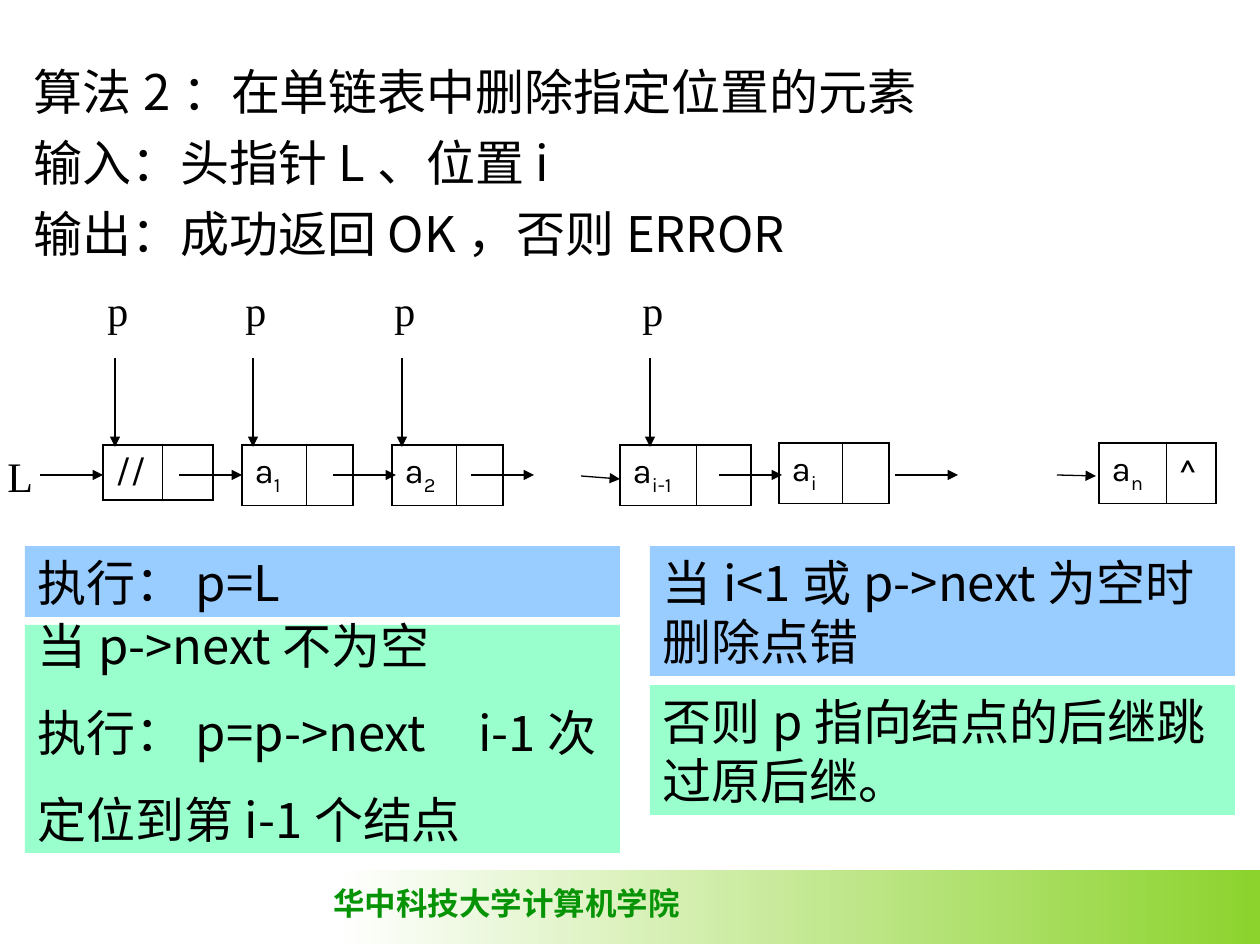
from dataclasses import dataclass
from typing import Optional

from lxml import etree
from pptx import Presentation
from pptx.dml.color import RGBColor
from pptx.enum.shapes import MSO_CONNECTOR, MSO_SHAPE
from pptx.enum.text import MSO_ANCHOR, PP_ALIGN
from pptx.oxml.ns import qn
from pptx.util import Pt

EMU_PER_PX = 914400 / 126
STRAIGHT = MSO_CONNECTOR.STRAIGHT
RECT = MSO_SHAPE.RECTANGLE
TOP = MSO_ANCHOR.TOP
LEFT = PP_ALIGN.LEFT
SANS, SERIF, KARLA = "Noto Sans CJK SC", "Times New Roman", "Karla"
BLUE, MINT = "99CCFF", "99FFCC"


@dataclass
class Node:
    x: int
    y: int
    data_w: int
    next_w: int
    h: int
    data: str
    sub: str = ""
    link: str = ""


@dataclass
class Panel:
    x: int
    y: int
    w: int
    h: int
    color: str
    lines: list[str]
    before: float = 0
    spacing: Optional[float] = None
    tab: int = 0


NODES = [
    Node(103, 445, 59, 51, 54, "//"),
    Node(242, 445, 64, 47, 60, "a", "1"),
    Node(392, 445, 64, 47, 60, "a", "2"),
    Node(620, 445, 76, 55, 60, "a", "i-1"),
    Node(779, 443, 63, 47, 60, "a", "i"),
    Node(1099, 443, 67, 50, 60, "a", "n", "^"),
]
LINK_Y, LINK_LEN = 475, 63
LINK_STARTS = [179, 333, 471, 719, 895, 40]
SLANTED_LINKS = [(581, 476, 620, 479), (1057, 475, 1096, 476)]
POINTER_XS = [115, 253, 402, 650]
PANELS = [
    Panel(25, 546, 595, 71, BLUE, ["执行：p=L"]),
    Panel(25, 625, 595, 228, MINT,
          ["当p->next不为空", "执行：p=p->next\ti-1次", "定位到第i-1个结点"], 26.2, 0.7, 422),
    Panel(650, 546, 585, 130, BLUE, ["当i<1或p->next为空时删除点错"]),
    Panel(650, 685, 585, 130, MINT, ["否则p指向结点的后继跳过原后继。"]),
]


def px(n: float) -> int:
    """Turn pixels into EMU."""
    return round(n * EMU_PER_PX)


def rgb(value: str) -> RGBColor:
    """Turn a hex string into a colour."""
    return RGBColor.from_string(value)


def write(tf, lines, *, size=28, font=SANS, color="000000", bold=False,
          before=0.0, spacing=None, sub="", hang=0, tab=0) -> None:
    """Fill a text frame with one paragraph per line."""
    for i, line in enumerate(lines):
        p = tf.paragraphs[0] if i == 0 else tf.add_paragraph()
        p.alignment = LEFT
        p.space_before = Pt(before if i else 0)
        p.line_spacing = spacing
        pPr = p._p.get_or_add_pPr()
        pPr.set("marL", str(px(hang)))
        pPr.set("indent", str(-px(hang)))
        etree.SubElement(pPr, qn("a:buNone"))
        if "\t" in line:
            tabs = etree.SubElement(pPr, qn("a:tabLst"))
            etree.SubElement(tabs, qn("a:tab"), pos=str(px(tab)), algn="l")
        for part, baseline in ((line, ""), (sub, "-25000")):
            if not part:
                continue
            r = p.add_run()
            r.text = part
            r.font.size, r.font.name, r.font.bold = Pt(size), font, bold
            r.font.color.rgb = rgb(color)
            rPr = r._r.get_or_add_rPr()
            etree.SubElement(rPr, qn("a:ea"), typeface=SANS)
            if baseline:
                rPr.set("baseline", baseline)


def add_text(s, x: int, y: int, w: int, h: int, text: str, wrap=True, **fmt) -> None:
    """Add a text box with one line."""
    tf = s.shapes.add_textbox(px(x), px(y), px(w), px(h)).text_frame
    tf.word_wrap = wrap
    write(tf, [text], **fmt)


def add_rect(s, x: int, y: int, w: int, h: int):
    """Add a rectangle without line or shadow."""
    sp = s.shapes.add_shape(RECT, px(x), px(y), px(w), px(h))
    sp.shadow.inherit = False
    sp.line.fill.background()
    return sp


def add_arrow(s, x1: int, y1: int, x2: int, y2: int) -> None:
    """Add a thin line with a triangle at its end."""
    c = s.shapes.add_connector(STRAIGHT, px(x1), px(y1), px(x2), px(y2))
    c.line.width = Pt(0.75)
    c.line.color.rgb = rgb("000000")
    etree.SubElement(c.line._get_or_add_ln(), qn("a:tailEnd"), type="triangle")
    etree.SubElement(c._element.spPr, qn("a:effectLst"))


def set_borders(cell, thin_side: str) -> None:
    """Draw black cell borders, with the given side thin."""
    tcPr = cell._tc.get_or_add_tcPr()
    for i, side in enumerate(("lnL", "lnR", "lnT", "lnB")):
        width = Pt(0.45 if side == thin_side else 1.08)
        ln = etree.Element(qn(f"a:{side}"), w=str(width))
        fill = etree.SubElement(ln, qn("a:solidFill"))
        etree.SubElement(fill, qn("a:srgbClr"), val="000000")
        tcPr.insert(i, ln)


def add_node(s, n: Node) -> None:
    """Add a list node as a table of data and link cells."""
    table = s.shapes.add_table(1, 2, px(n.x), px(n.y), px(n.data_w + n.next_w), px(n.h)).table
    table.first_row = table.horz_banding = False
    cells = ((n.data_w, n.data, n.sub, "lnR"), (n.next_w, n.link, "", "lnL"))
    for i, (w, text, sub, thin_side) in enumerate(cells):
        table.columns[i].width = px(w)
        cell = table.cell(0, i)
        cell.fill.background()
        set_borders(cell, thin_side)
        if text:
            write(cell.text_frame, [text], size=20, font=KARLA, sub=sub)


def add_panel(s, panel: Panel) -> None:
    """Add a coloured panel with its steps."""
    sp = add_rect(s, panel.x, panel.y, panel.w, panel.h)
    sp.fill.solid()
    sp.fill.fore_color.rgb = rgb(panel.color)
    tf = sp.text_frame
    tf.word_wrap = True
    tf.vertical_anchor = TOP
    write(tf, panel.lines, before=panel.before, spacing=panel.spacing, tab=panel.tab)


def add_footer(s) -> None:
    """Add the gradient band and the school name."""
    band = add_rect(s, 336, 870, 924, 74)
    band.fill.gradient()
    band.fill.gradient_angle = 0
    for stop, color, position in zip(band.fill.gradient_stops, ("FFFFFF", "8CD32D"), (0, 1)):
        stop.color.rgb = rgb(color)
        stop.position = position
    add_text(s, 321, 878, 372, 50, "华中科技大学计算机学院", wrap=False,
             size=18, font=SERIF, color="069406", bold=True)


def main() -> None:
    """Build the slide on deleting from a linked list."""
    prs = Presentation()
    prs.slide_width, prs.slide_height = px(1260), px(945)
    s = prs.slides.add_slide(prs.slide_layouts[1])
    title = s.shapes.title._element
    title.getparent().remove(title)
    add_footer(s)
    body = s.placeholders[1]
    body.left, body.top, body.width, body.height = px(21), px(55), px(1207), px(238)
    body.text_frame.vertical_anchor = TOP
    write(body.text_frame, ["算法2：在单链表中删除指定位置的元素", "输入：头指针L、位置i",
                            "输出：成功返回OK，否则ERROR"], before=7, hang=48)
    for node in NODES:
        add_node(s, node)
    add_text(s, -5, 444, 49, 63, "L", size=24, font=SERIF)
    for x in LINK_STARTS:
        add_arrow(s, x, LINK_Y, x + LINK_LEN, LINK_Y)
    for ends in SLANTED_LINKS:
        add_arrow(s, *ends)
    for x in POINTER_XS:
        add_text(s, x - 20, 278, 49, 63, "p", size=24, font=SERIF)
        add_arrow(s, x, 358, x, 447)
    for panel in PANELS:
        add_panel(s, panel)
    prs.save("out.pptx")


if __name__ == "__main__":
    main()
